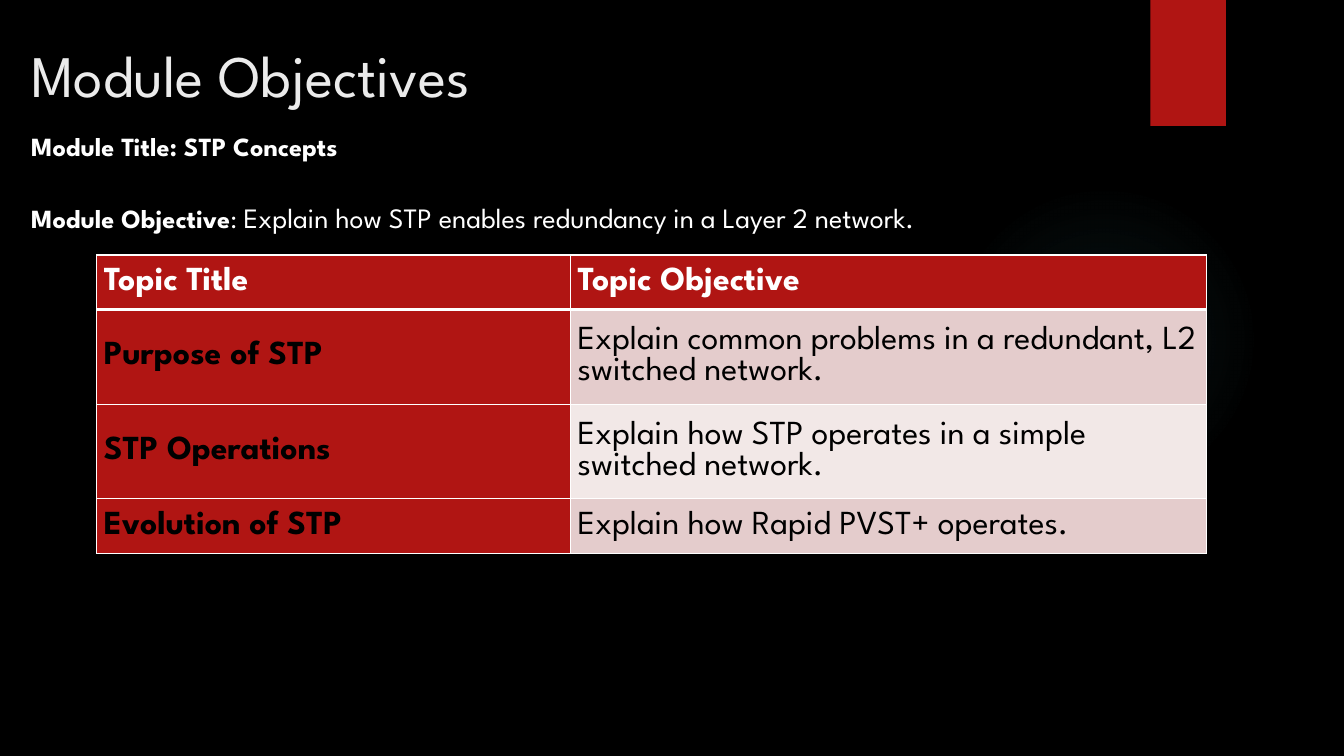
from pptx import Presentation
from pptx.dml.color import RGBColor as RGB
from pptx.enum.shapes import MSO_SHAPE as Shape
from pptx.enum.text import MSO_ANCHOR as Anchor
from pptx.oxml import parse_xml
from pptx.oxml.ns import nsdecls
from pptx.util import Inches, Pt

TITLE = "Module Objectives"
INTRO = [
    [("Module Title: STP Concepts", True, "lead")],
    [("Module Objective", True, "lead"), (": ", False, "lead"),
     ("Explain how STP enables redundancy in a Layer 2 network.", False, "body")],
]
TOPICS = [
    ("Topic Title", "Topic Objective"),
    ("Purpose of STP", "Explain common problems in a redundant, L2 switched network."),
    ("STP Operations", "Explain how STP operates in a simple switched network."),
    ("Evolution of STP", "Explain how Rapid PVST+ operates."),
]
COLS = (4.7, 6.31)
ROWS = (0.54, 0.94, 0.94, 0.54)
THEME = {
    "font": "League Spartan",
    "back": "000000", "red": "B01513", "white": "FFFFFF", "title": "EBEBEB",
    "dark": "000000", "bands": ("F2E8E7", "E4CCCC"), "glow": "50B9C1",
    "size": {"title": 42, "lead": 18.7, "body": 20, "cell": 24},
}
GLOW = [(0, 7), (36, 6), (69, 0), (100, 0)]  # stop and opacity, percent


def write(para, text, size="body", color=THEME["white"], bold=False):
    run = para.add_run()
    run.text = text
    font = run.font
    font.name = THEME["font"]
    font.size = Pt(THEME["size"][size])
    font.bold = bold
    font.color.rgb = RGB.from_string(color)


def add_box(slide, left, top, width, height, inset):
    """Add a wrapped text box with the given top inset."""
    box = slide.shapes.add_textbox(*map(Inches, (left, top, width, height)))
    frame = box.text_frame
    frame.word_wrap = True
    frame.margin_top = Inches(inset)
    return frame


def add_plain(slide, kind, *place):
    shape = slide.shapes.add_shape(kind, *map(Inches, place))
    shape.shadow.inherit = False
    shape.line.fill.background()
    return shape


def add_glow(slide):
    oval = add_plain(slide, Shape.OVAL, 9.41, 1.83, 3.08, 3.08)
    stops = "".join(
        f'<a:gs pos="{pos * 1000}"><a:srgbClr val="{THEME["glow"]}">'
        f'<a:alpha val="{alpha * 1000}"/></a:srgbClr></a:gs>'
        for pos, alpha in GLOW)
    fill = parse_xml(
        f'<a:gradFill {nsdecls("a")}><a:gsLst>{stops}</a:gsLst><a:path path="circle">'
        '<a:fillToRect l="50000" t="50000" r="50000" b="50000"/></a:path></a:gradFill>')
    oval._element.spPr.find(".//{*}prstGeom").addnext(fill)


def add_edges(cell, base):
    """Draw white cell borders, with the bottom one as wide as base."""
    props = cell._tc.get_or_add_tcPr()
    for spot, (side, width) in enumerate(zip("LRTB", (1, 1, 1, base))):
        props.insert(spot, parse_xml(
            f'<a:ln{side} {nsdecls("a")} w="{Pt(width)}"><a:solidFill>'
            f'<a:srgbClr val="{THEME["white"]}"/></a:solidFill></a:ln{side}>'))


def add_topics(slide):
    place = map(Inches, (0.96, 2.53, sum(COLS), sum(ROWS)))
    table = slide.shapes.add_table(len(ROWS), len(COLS), *place).table
    for col, width in zip(table.columns, COLS):
        col.width = Inches(width)
    for r, (height, texts) in enumerate(zip(ROWS, TOPICS)):
        table.rows[r].height = Inches(height)
        for c, text in enumerate(texts):
            cell = table.cell(r, c)
            head = r == 0
            strong = head or c == 0
            cell.fill.solid()
            cell.fill.fore_color.rgb = RGB.from_string(
                THEME["red"] if strong else THEME["bands"][r % 2])
            cell.vertical_anchor = Anchor.MIDDLE
            cell.margin_left = cell.margin_right = Inches(0.07)
            cell.margin_top = cell.margin_bottom = Inches(0.07)
            write(cell.text_frame.paragraphs[0], text, size="cell", bold=strong,
                  color=THEME["white" if head else "dark"])
            add_edges(cell, 3 if head else 1)


def main():
    deck = Presentation()
    deck.slide_width, deck.slide_height = Inches(13.33), Inches(7.5)
    slide = deck.slides.add_slide(deck.slide_layouts[6])
    back = slide.background.fill
    back.solid()
    back.fore_color.rgb = RGB.from_string(THEME["back"])

    add_glow(slide)
    tab = add_plain(slide, Shape.RECTANGLE, 11.41, 0, 0.75, 1.25)
    tab.fill.solid()
    tab.fill.fore_color.rgb = RGB.from_string(THEME["red"])

    title = add_box(slide, 0.21, 0.14, 10.29, 1.53, 0.24)
    write(title.paragraphs[0], TITLE, size="title", color=THEME["title"])

    intro = add_box(slide, 0.21, 1.16, 12.91, 1.1, 0.13)
    for i, runs in enumerate(INTRO):
        para = intro.add_paragraph() if i else intro.paragraphs[0]
        para.space_before = Pt(28 if i else 0)
        for text, bold, size in runs:
            write(para, text, size=size, bold=bold)

    add_topics(slide)
    deck.save("out.pptx")


if __name__ == "__main__":
    main()
